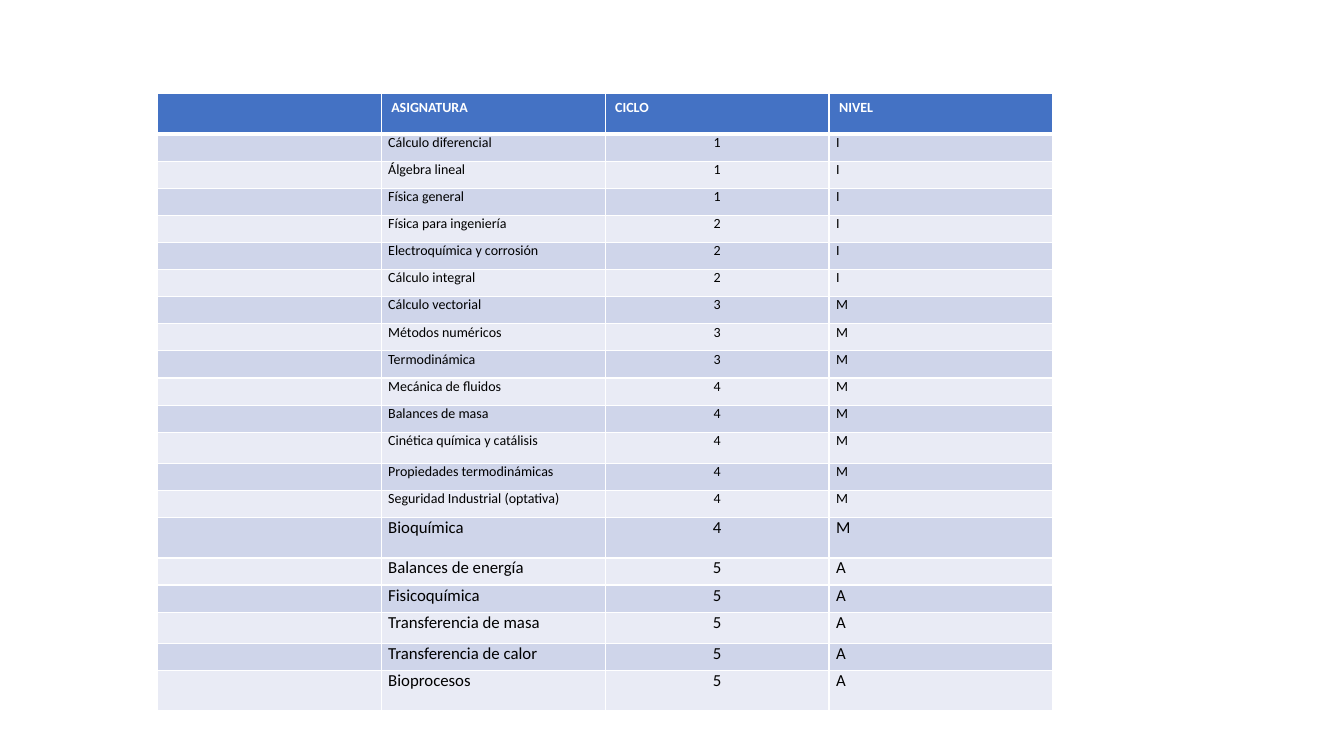
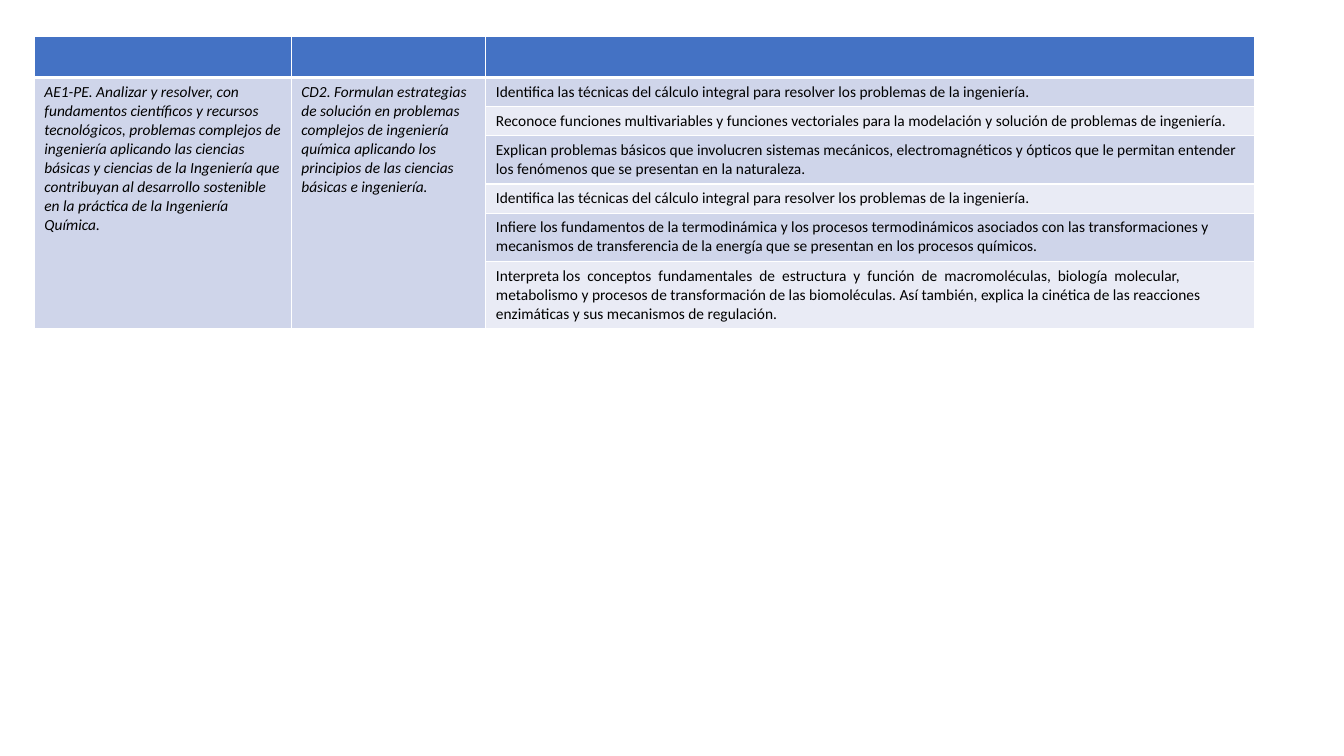
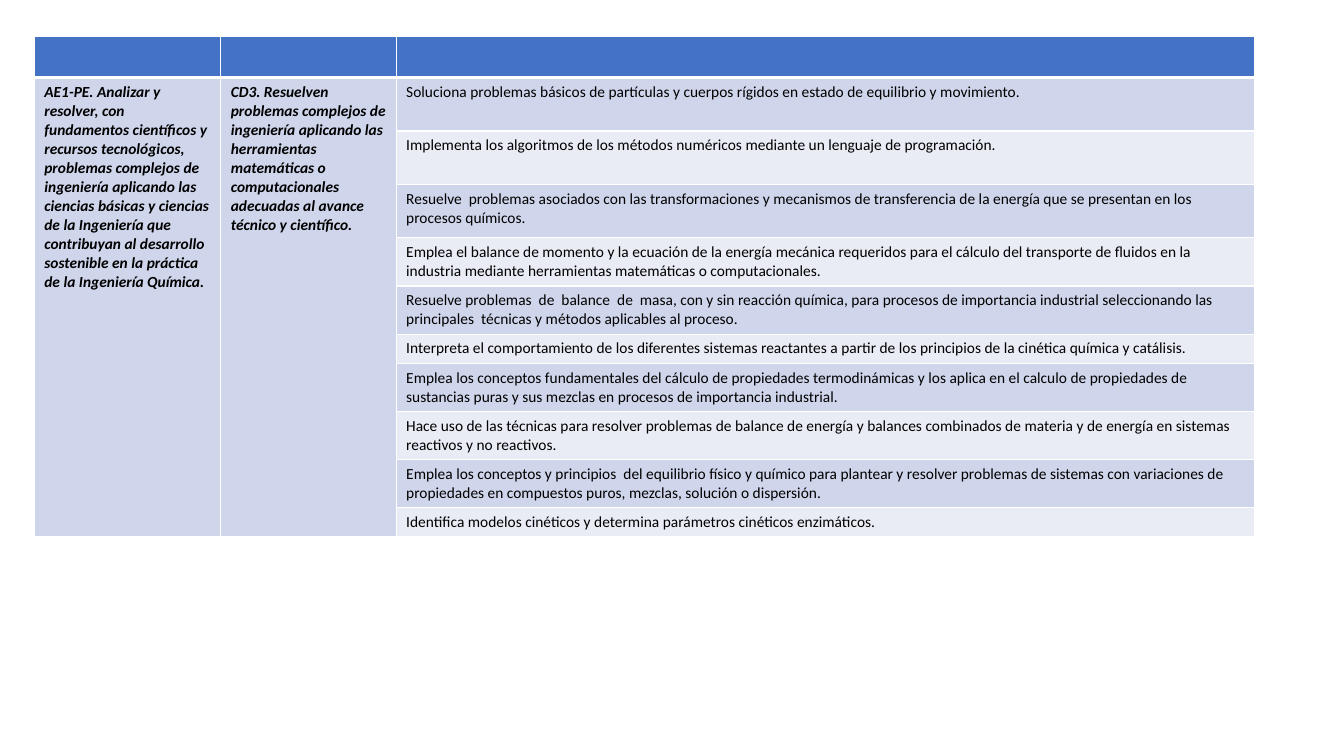
from dataclasses import dataclass
from lxml.etree import SubElement as Sub
from pptx import Presentation as Deck
from pptx.dml.color import RGBColor as Color
from pptx.enum.text import PP_ALIGN as Align
from pptx.oxml.ns import qn
from pptx.util import Inches, Pt


@dataclass(frozen=True)
class Theme:
    font: str = "Calibri"
    head: str = "4472C4"
    odd: str = "CFD5EA"
    even: str = "E9EBF5"
    rule: str = "FFFFFF"
    ink: str = "000000"
    small: int = 10
    text: int = 11
    large: int = 12
    thin: int = 1
    thick: int = 3


THEME = Theme()
STEP = Inches(0.1)
WIDE, HIGH = 133.33, 75
LINE, PAD = 1.9, 0.9
TIGHT = (0.7, 0, 0.7, 0)


def span(size):
    return round(size * STEP)


def write(cell, text, size=THEME.text, color=THEME.ink, bold=False,
          slant=False, align=None, inset=None):
    para = cell.text_frame.paragraphs[0]
    if not text:
        Sub(para._p, qn("a:endParaRPr"), sz=str(Pt(size).centipoints))
        return
    if inset:
        (cell.margin_left, cell.margin_top,
         cell.margin_right, cell.margin_bottom) = map(span, inset)
    if align:
        para.alignment = align
    run = para.add_run()
    run.text = text
    font = run.font
    font.name, font.size = THEME.font, Pt(size)
    font.bold, font.italic = bold, slant
    font.color.rgb = Color.from_string(color)


class Page:
    def __init__(self, deck, theme):
        self.deck, self.theme, self.slide = deck, theme, None

    def start(self):
        self.slide = self.deck.slides.add_slide(self.deck.slide_layouts[6])

    def edge(self, cell, row):
        look = self.theme
        props = cell._tc.get_or_add_tcPr()
        for side in "LRTB":
            heavy = (row, side) in ((0, "B"), (1, "T"))
            width = Pt(look.thick if heavy else look.thin)
            line = Sub(props, qn(f"a:ln{side}"), w=str(width))
            Sub(Sub(line, qn("a:solidFill")), qn("a:srgbClr"), val=look.rule)

    def paint(self, cell, row):
        look = self.theme
        tint = look.head if row == 0 else look.odd if row % 2 else look.even
        cell.fill.solid()
        cell.fill.fore_color.rgb = Color.from_string(tint)

    def table(self, left, top, cols, rows):
        frame = self.slide.shapes.add_table(
            len(rows), len(cols), span(left), span(top),
            span(sum(cols)), span(sum(rows)))
        grid = frame.table
        grid.horz_banding = False
        for col, size in zip(grid.columns, cols):
            col.width = span(size)
        for row, size in zip(grid.rows, rows):
            row.height = span(size)
        return grid

    def dress(self, grid):
        for row, line in enumerate(grid.rows):
            for cell in line.cells:
                if not cell.is_spanned:
                    self.edge(cell, row)
                self.paint(cell, row)

    def courses(self, heads, items):
        look = self.theme
        tall = {0: 4, 12: 3.1, 15: 4, 18: 3.1, 20: 4}
        rows = [tall.get(row, 2.6) for row in range(len(items) + 1)]
        grid = self.table(15.6, 9.3, [22.22] * 4, rows)
        self.dress(grid)
        for col, head in enumerate(heads):
            write(grid.cell(0, col), head, size=look.small,
                  color=look.rule, bold=True)
        for row, item in enumerate(items, 1):
            write(grid.cell(row, 0), "", size=look.small)
            size = look.large if row >= 15 else look.small
            for col, text in enumerate(item, 1):
                write(grid.cell(row, col), text, size=size, inset=TIGHT,
                      align=Align.CENTER if col == 2 else None)

    def goals(self, cols, aims, items, bold=False):
        rows = [4.1] + [size for size, _ in items]
        grid = self.table(3.4, 3.6, cols, rows)
        for col in range(len(aims)):
            grid.cell(1, col).merge(grid.cell(len(items), col))
        self.dress(grid)
        for col, aim in enumerate(aims):
            write(grid.cell(1, col), aim, bold=bold, slant=True)
        for row, (_, text) in enumerate(items, 1):
            write(grid.cell(row, 2), text)


def lines(count):
    return count * LINE + PAD


HEADS = ["", "ASIGNATURA", "CICLO", "NIVEL"]
COURSES = [
    ("Cálculo diferencial", "1", "I"),
    ("Álgebra lineal", "1", "I"),
    ("Física general", "1", "I"),
    ("Física para ingeniería", "2", "I"),
    ("Electroquímica y corrosión", "2", "I"),
    ("Cálculo integral", "2", "I"),
    ("Cálculo vectorial", "3", "M"),
    ("Métodos numéricos", "3", "M"),
    ("Termodinámica", "3", "M"),
    ("Mecánica de fluidos", "4", "M"),
    ("Balances de masa", "4", "M"),
    ("Cinética química y catálisis", "4", "M"),
    ("Propiedades termodinámicas", "4", "M"),
    ("Seguridad Industrial (optativa)", "4", "M"),
    ("Bioquímica", "4", "M"),
    ("Balances de energía", "5", "A"),
    ("Fisicoquímica", "5", "A"),
    ("Transferencia de masa", "5", "A"),
    ("Transferencia de calor", "5", "A"),
    ("Bioprocesos", "5", "A"),
]
AIM = (
    "AE1-PE. Analizar y resolver, con fundamentos científicos y recursos "
    "tecnológicos, problemas complejos de ingeniería aplicando las ciencias "
    "básicas y ciencias de la Ingeniería que contribuyan al desarrollo "
    "sostenible en la práctica de la Ingeniería Química."
)
PLAN = (
    "CD2. Formulan estrategias de solución en problemas complejos de "
    "ingeniería química aplicando los principios de las ciencias básicas e "
    "ingeniería."
)
SOLVE = (
    "CD3. Resuelven problemas complejos de ingeniería aplicando las "
    "herramientas matemáticas o computacionales adecuadas al avance técnico "
    "y científico."
)
CALC = (
    "Identifica las técnicas del cálculo integral para resolver los "
    "problemas de la ingeniería."
)
PLANS = [
    (lines(1), CALC),
    (lines(1), "Reconoce funciones multivariables y funciones vectoriales "
     "para la modelación y solución de problemas de ingeniería."),
    (lines(2), "Explican problemas básicos que involucren sistemas mecánicos, "
     "electromagnéticos y ópticos que le permitan entender los fenómenos que "
     "se presentan en la naturaleza."),
    (lines(1), CALC),
    (lines(2), "Infiere los fundamentos de la termodinámica y los procesos "
     "termodinámicos asociados con las transformaciones y mecanismos de "
     "transferencia de la energía que se presentan en los procesos "
     "químicos."),
    (lines(3), "Interpreta los  conceptos  fundamentales  de  estructura  y  "
     "función  de  macromoléculas,  biología  molecular, metabolismo y "
     "procesos de transformación de las biomoléculas. Así también, explica "
     "la cinética de las reacciones enzimáticas y sus mecanismos de "
     "regulación."),
]
TALL = 5.3
SKILLS = [
    (TALL, "Soluciona problemas básicos de partículas y cuerpos rígidos en "
     "estado de equilibrio y movimiento."),
    (TALL, "Implementa los algoritmos de los métodos numéricos mediante un "
     "lenguaje de programación."),
    (TALL, "Resuelve  problemas asociados con las transformaciones y "
     "mecanismos de transferencia de la energía que se presentan en los "
     "procesos químicos."),
    (lines(2), "Emplea el balance de momento y la ecuación de la energía "
     "mecánica requeridos para el cálculo del transporte de fluidos en la "
     "industria mediante herramientas matemáticas o computacionales."),
    (lines(2), "Resuelve problemas  de  balance  de  masa, con y sin reacción "
     "química, para procesos de importancia industrial seleccionando las  "
     "principales  técnicas y métodos aplicables al proceso."),
    (lines(1), "Interpreta el comportamiento de los diferentes sistemas "
     "reactantes a partir de los principios de la cinética química y "
     "catálisis."),
    (lines(2), "Emplea los conceptos fundamentales del cálculo de propiedades "
     "termodinámicas y los aplica en el calculo de propiedades de sustancias "
     "puras y sus mezclas en procesos de importancia industrial."),
    (lines(2), "Hace uso de las técnicas para resolver problemas de balance "
     "de energía y balances combinados de materia y de energía en sistemas "
     "reactivos y no reactivos."),
    (lines(2), "Emplea los conceptos y principios  del equilibrio físico y "
     "químico para plantear y resolver problemas de sistemas con variaciones "
     "de propiedades en compuestos puros, mezclas, solución o dispersión."),
    (lines(1), "Identifica modelos cinéticos y determina parámetros cinéticos "
     "enzimáticos."),
]


def main():
    deck = Deck()
    deck.slide_width, deck.slide_height = span(WIDE), span(HIGH)
    page = Page(deck, THEME)
    page.start()
    page.courses(HEADS, COURSES)
    page.start()
    page.goals([25.5, 19.3, 76.3], [AIM, PLAN], PLANS)
    page.start()
    page.goals([18.5, 17.4, 85.2], [AIM, SOLVE], SKILLS, bold=True)
    deck.save("out.pptx")


if __name__ == "__main__":
    main()
